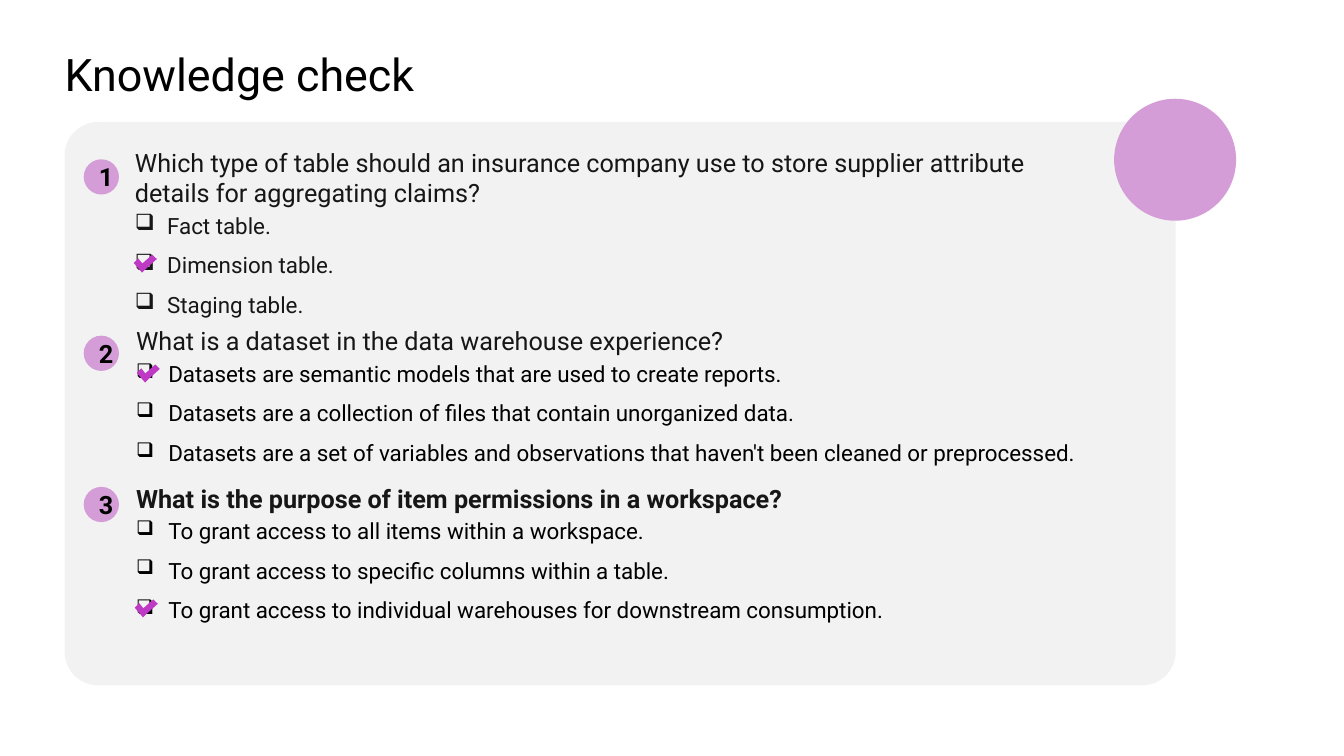
"""Build the knowledge check slide with three multiple-choice questions."""
from dataclasses import dataclass

from lxml.etree import SubElement
from pptx import Presentation
from pptx.dml.color import RGBColor
from pptx.enum.shapes import MSO_SHAPE
from pptx.enum.text import MSO_ANCHOR, PP_ALIGN
from pptx.oxml.ns import qn
from pptx.shapes.autoshape import Shape
from pptx.shapes.shapetree import SlideShapes
from pptx.text.text import TextFrame, _Paragraph
from pptx.util import Emu, Pt

EMU_PER_PX = 9144
TICK_OUTLINE = [(16, 0), (6, 9), (2, 4), (0, 6), (6, 13), (8, 11), (18, 2)]
OPTION_INDENT = 32
BADGE_LEFT = 83
BADGE_SIZE = 35


@dataclass(frozen=True)
class Theme:
    font: str = "Roboto"
    title_size: int = 32
    question_size: int = 18
    option_size: int = 16
    black: str = "000000"
    question: str = "161616"
    soft_option: str = "171717"
    panel: str = "F2F2F2"
    accent: str = "D59DD7"
    tick: str = "BF3AC4"
    dark_tick: str = "091F2E"


THEME = Theme()


@dataclass(frozen=True)
class Box:
    left: int
    top: int
    width: int
    height: int


@dataclass(frozen=True)
class Question:
    text: str
    options: tuple[str, ...]
    box: Box
    badge_top: int
    tick_at: tuple[int, int]
    inset: int = 0
    bold: bool = False
    bullet_percent: int = 90
    option_color: str = THEME.black
    tick_fill: str = THEME.tick


QUESTIONS = [
    Question(
        "Which type of table should an insurance company use to store supplier "
        "attribute details for aggregating claims?",
        ("Fact table.", "Dimension table.", "Staging table."),
        Box(124, 146, 960, 178), 158, (135, 255),
        inset=10, bullet_percent=100, option_color=THEME.soft_option,
    ),
    Question(
        "What is a dataset in the data warehouse experience?",
        (
            "Datasets are semantic models that are used to create reports.",
            "Datasets are a collection of files that contain unorganized data.",
            "Datasets are a set of variables and observations that haven't been "
            "cleaned or preprocessed.",
        ),
        Box(135, 323, 960, 180), 333, (138, 364),
    ),
    Question(
        "What is the purpose of item permissions in a workspace?",
        (
            "To grant access to all items within a workspace.",
            "To grant access to specific columns within a table.",
            "To grant access to individual warehouses for downstream consumption.",
        ),
        Box(135, 479, 960, 141), 483, (136, 597),
        bold=True, tick_fill=THEME.dark_tick,
    ),
]


def px(length: int) -> Emu:
    """Convert px to EMU."""
    return Emu(length * EMU_PER_PX)


def place(box: Box) -> tuple[Emu, Emu, Emu, Emu]:
    """Give the left, top, width and height of a box in EMU."""
    return px(box.left), px(box.top), px(box.width), px(box.height)


def set_font(paragraph: _Paragraph, size: int, color: str, bold: bool = False) -> None:
    """Set the font of a whole paragraph."""
    font = paragraph.font
    font.name = THEME.font
    font.size = Pt(size)
    font.bold = bold
    font.color.rgb = RGBColor.from_string(color)


def add_filled(shapes: SlideShapes, kind: MSO_SHAPE, box: Box, color: str) -> Shape:
    """Add a flat preset shape without an outline."""
    shape = shapes.add_shape(kind, *place(box))
    shape.shadow.inherit = False
    shape.fill.solid()
    shape.fill.fore_color.rgb = RGBColor.from_string(color)
    shape.line.fill.background()
    return shape


def add_text_frame(shapes: SlideShapes, box: Box, inset: int = 0) -> TextFrame:
    """Add a wrapping text box with only a left inset."""
    frame = shapes.add_textbox(*place(box)).text_frame
    frame.word_wrap = True
    frame.margin_left = px(inset)
    frame.margin_top = frame.margin_right = frame.margin_bottom = 0
    return frame


def add_option(frame: TextFrame, text: str, question: Question) -> None:
    """Append one checkbox option to a question."""
    paragraph = frame.add_paragraph()
    paragraph.text = text
    paragraph.space_before = Pt(3)
    paragraph.space_after = Pt(6)
    properties = paragraph._p.get_or_add_pPr()
    properties.set("marL", str(px(OPTION_INDENT)))
    properties.set("indent", str(px(-OPTION_INDENT)))
    SubElement(properties, qn("a:buSzPct"), val=str(question.bullet_percent * 1000))
    SubElement(properties, qn("a:buChar"), char="❑")
    set_font(paragraph, THEME.option_size, question.option_color)


def add_question(shapes: SlideShapes, question: Question) -> None:
    """Add a question with its options."""
    frame = add_text_frame(shapes, question.box, question.inset)
    heading = frame.paragraphs[0]
    heading.text = question.text
    set_font(heading, THEME.question_size, THEME.question, question.bold)
    for option in question.options:
        add_option(frame, option, question)


def add_tick(shapes: SlideShapes, question: Question) -> None:
    """Mark the correct answer with a tick."""
    left, top = question.tick_at
    points = [(left + x, top + y) for x, y in TICK_OUTLINE]
    builder = shapes.build_freeform(*points[0], scale=EMU_PER_PX)
    builder.add_line_segments(points[1:], close=True)
    tick = builder.convert_to_shape()
    tick.shadow.inherit = False
    tick.fill.solid()
    tick.fill.fore_color.rgb = RGBColor.from_string(question.tick_fill)
    tick.line.color.rgb = RGBColor.from_string(THEME.tick)
    tick.line.width = Pt(2.5)
    SubElement(tick.line._get_or_add_ln(), qn("a:miter"), lim="800000")


def add_badge(shapes: SlideShapes, number: int, top: int) -> None:
    """Add the numbered circle beside a question."""
    box = Box(BADGE_LEFT, top, BADGE_SIZE, BADGE_SIZE)
    frame = add_filled(shapes, MSO_SHAPE.OVAL, box, THEME.accent).text_frame
    frame.vertical_anchor = MSO_ANCHOR.MIDDLE
    label = frame.paragraphs[0]
    label.text = str(number)
    label.alignment = PP_ALIGN.CENTER
    set_font(label, THEME.question_size, THEME.black, bold=True)


def main() -> None:
    """Build and save the slide."""
    presentation = Presentation()
    presentation.slide_width = px(1333)
    presentation.slide_height = px(750)
    shapes = presentation.slides.add_slide(presentation.slide_layouts[6]).shapes

    panel = add_filled(
        shapes, MSO_SHAPE.ROUNDED_RECTANGLE, Box(64, 121, 1102, 559), THEME.panel
    )
    panel.adjustments[0] = 0.06
    add_filled(shapes, MSO_SHAPE.OVAL, Box(1105, 98, 121, 121), THEME.accent)

    title_frame = add_text_frame(shapes, Box(64, 46, 896, 54))
    title_frame.vertical_anchor = MSO_ANCHOR.BOTTOM
    title = title_frame.paragraphs[0]
    title.text = "Knowledge check"
    set_font(title, THEME.title_size, THEME.black)

    for number, question in enumerate(QUESTIONS, start=1):
        add_question(shapes, question)
        add_tick(shapes, question)
        add_badge(shapes, number, question.badge_top)

    presentation.save("out.pptx")


if __name__ == "__main__":
    main()
